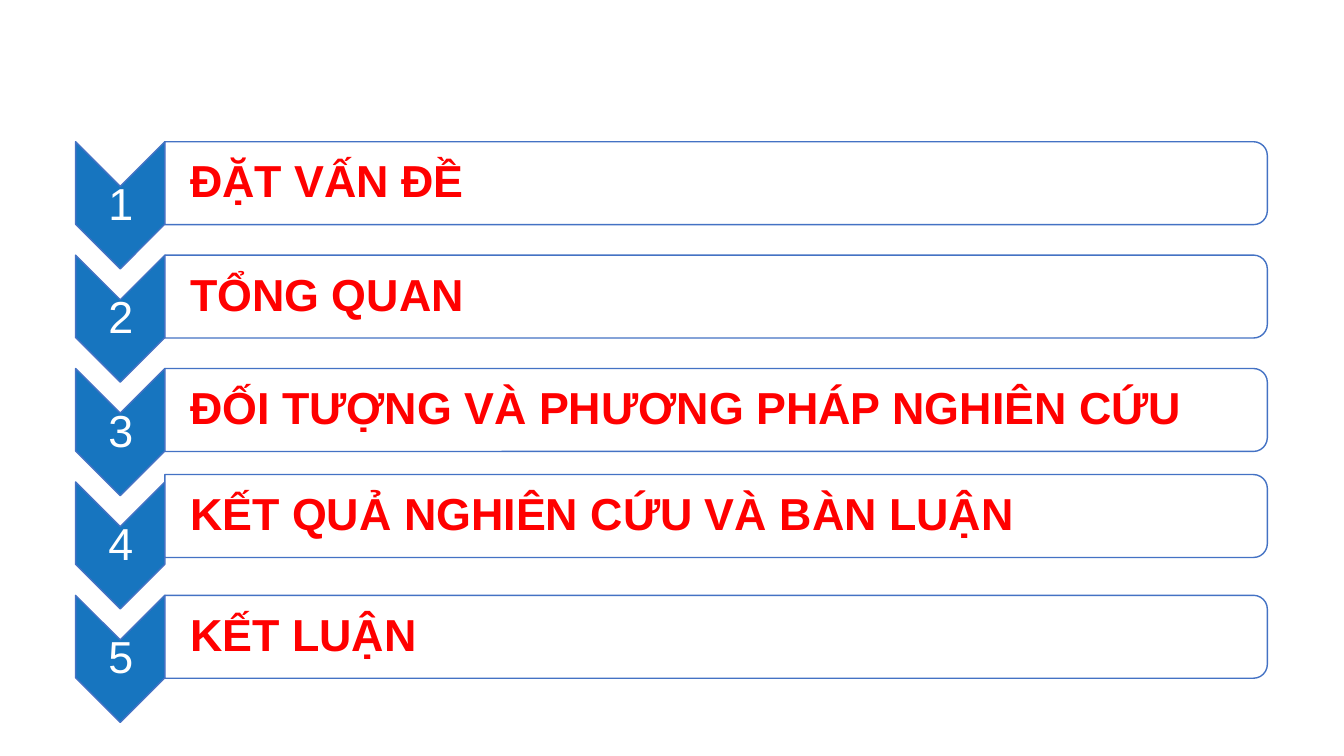
from dataclasses import dataclass

from lxml import etree
from pptx import Presentation
from pptx.dml.color import RGBColor
from pptx.enum import shapes, text
from pptx.oxml import ns
from pptx.util import Pt

PX = 9525  # EMU in one px, 96 px to the inch
BLUE = RGBColor(0x17, 0x75, 0xBF)
EDGE = RGBColor(0x44, 0x72, 0xC4)
RED = RGBColor(0xFF, 0x00, 0x00)
WHITE = RGBColor(0xFF, 0xFF, 0xFF)

TOP, PITCH = 135, 108
INSET = 2


@dataclass(frozen=True)
class Item:
    label: str
    shift: int = 0  # px the bar moves from its even place


ITEMS = [
    Item("ĐẶT VẤN ĐỀ"),
    Item("TỔNG QUAN"),
    Item("ĐỐI TƯỢNG VÀ PHƯƠNG PHÁP NGHIÊN CỨU"),
    Item("KẾT QUẢ NGHIÊN CỨU VÀ BÀN LUẬN", shift=-7),
    Item("KẾT LUẬN"),
]


def add_turned(slide, kind, left: int, top: int, width: int, height: int,
               fill: RGBColor):
    """Add a shape turned by 90 degrees that shows in the given box."""
    x = left + (width - height) / 2
    y = top + (height - width) / 2
    shape = slide.shapes.add_shape(
        kind, round(x * PX), round(y * PX), height * PX, width * PX)
    shape.rotation = 90
    shape.shadow.inherit = False
    shape.fill.solid()
    shape.fill.fore_color.rgb = fill
    shape.line.color.rgb = EDGE
    shape.line.width = Pt(1)
    return shape


def add_text(slide, words: str, left: int, top: int, width: int, height: int,
             *, color: RGBColor, bold: bool = False, indent: int = INSET,
             align=text.PP_ALIGN.LEFT) -> None:
    box = slide.shapes.add_textbox(
        left * PX, top * PX, width * PX, height * PX)
    frame = box.text_frame
    frame.word_wrap = True
    frame.vertical_anchor = text.MSO_ANCHOR.MIDDLE
    frame.margin_left = indent * PX
    frame.margin_top = frame.margin_right = frame.margin_bottom = INSET * PX
    para = frame.paragraphs[0]
    para.alignment = align
    para.line_spacing = 0.9
    run = para.add_run()
    run.text = words
    run.font.name = "Arial"
    run.font.size = Pt(32)
    run.font.bold = bold
    run.font.color.rgb = color


def set_alpha(shape, percent: int) -> None:
    color = shape._element.spPr.find(ns.qn("a:solidFill"))[0]
    etree.SubElement(color, ns.qn("a:alpha"), val=str(percent * 1000))


def add_row(slide, number: int, item: Item) -> None:
    top = TOP + (number - 1) * PITCH
    add_turned(slide, shapes.MSO_SHAPE.CHEVRON, 72, top, 85, 121, BLUE)
    add_text(slide, str(number), 73, top + 43, 84, 36,
             color=WHITE, align=text.PP_ALIGN.CENTER)
    top += item.shift
    bar = add_turned(slide, shapes.MSO_SHAPE.ROUND_2_SAME_RECTANGLE,
                     157, top, 1050, 79, WHITE)
    set_alpha(bar, 90)
    add_text(slide, item.label, 157, top + 4, 1046, 71,
             color=RED, bold=True, indent=24)


def main() -> None:
    deck = Presentation()
    deck.slide_width, deck.slide_height = 1280 * PX, 720 * PX
    slide = deck.slides.add_slide(deck.slide_layouts[6])
    for number, item in enumerate(ITEMS, 1):
        add_row(slide, number, item)
    deck.save("out.pptx")


if __name__ == "__main__":
    main()
